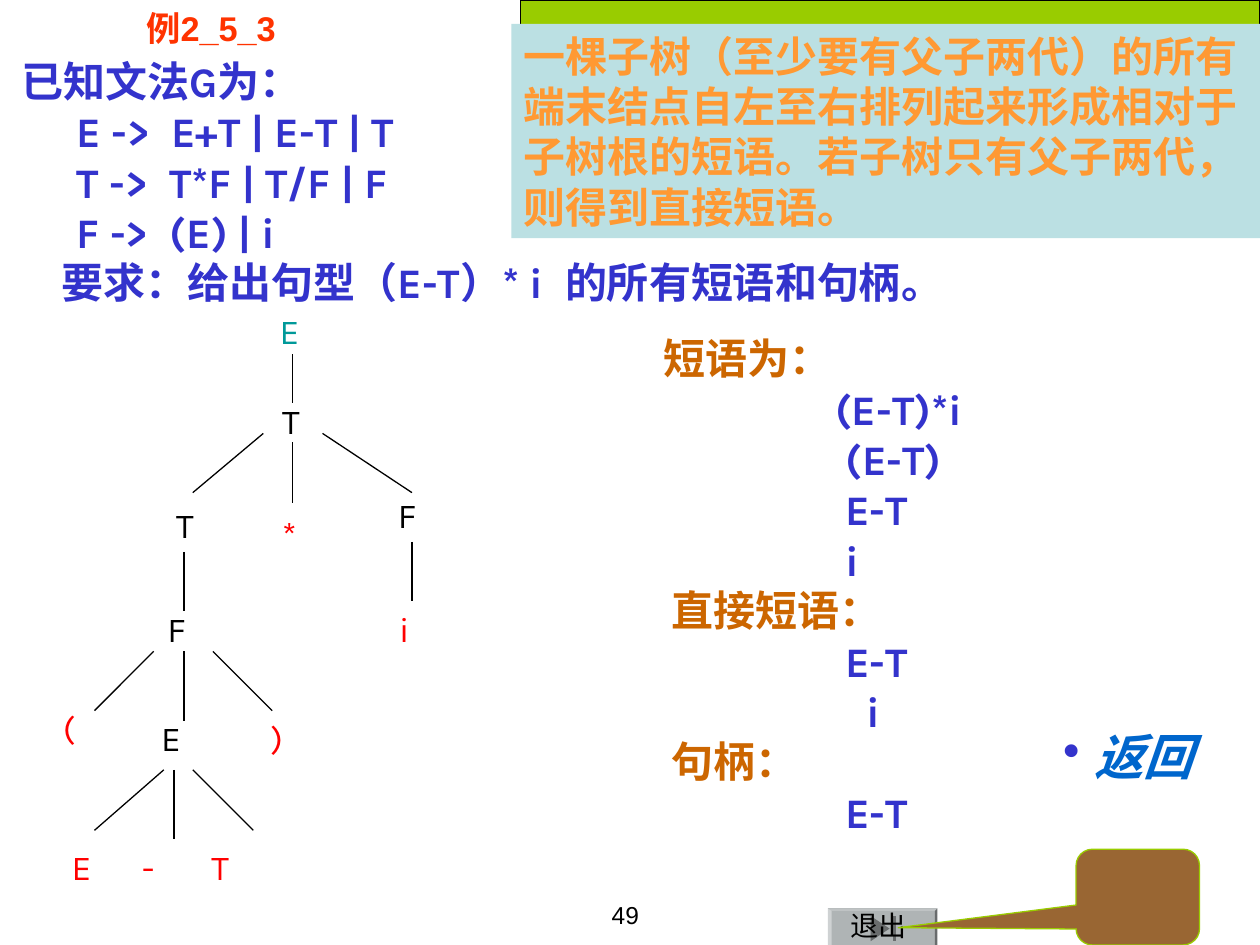
"""Build the slide on phrases and handles of a sentential form, with its syntax tree."""
import pptx
import pptx.dml.color
import pptx.enum.shapes
import pptx.enum.text
import pptx.oxml.ns
import pptx.util
from lxml import etree

Inches = pptx.util.Inches
Shapes = pptx.enum.shapes.MSO_SHAPE
Align = pptx.enum.text.PP_ALIGN


def color(value):
    """Turn a hex string into a colour."""
    return pptx.dml.color.RGBColor.from_string(value)


def write(shape, lines, size, font, bold=False, align=Align.LEFT):
    """Write (indent, text, colour) lines, one paragraph each."""
    frame = shape.text_frame
    frame.word_wrap = True
    frame.vertical_anchor = pptx.enum.text.MSO_ANCHOR.TOP
    for index, (indent, text, text_color) in enumerate(lines):
        paragraph = frame.add_paragraph() if index else frame.paragraphs[0]
        paragraph.alignment = align
        paragraph._p.get_or_add_pPr().set("marL", str(Inches(indent)))
        run = paragraph.add_run()
        run.text = text
        run.font.size = pptx.util.Pt(size)
        run.font.name = font
        run.font.bold = bold
        run.font.color.rgb = color(text_color)
    return frame


presentation = pptx.Presentation()
presentation.slide_width = Inches(10)
presentation.slide_height = Inches(7.5)
slide = presentation.slides.add_slide(presentation.slide_layouts[6])
shapes = slide.shapes

BLUE, BROWN, BLACK, RED = "3333CC", "CC6600", "000000", "FF0000"

button_parts = [
    ("AFB4B5", [(6.57, 7.21), (7.44, 7.21), (7.44, 7.5), (6.57, 7.5)]),
    ("BFC3C4", [(6.57, 7.21), (7.44, 7.21), (7.42, 7.23), (6.6, 7.23)]),
    ("696C6D", [(7.44, 7.21), (7.44, 7.5), (7.42, 7.5), (7.42, 7.23)]),
    ("CFD2D3", [(6.57, 7.5), (6.57, 7.21), (6.6, 7.23), (6.6, 7.5)]),
    ("696C6D", [(7.06, 7.37), (6.91, 7.47), (6.91, 7.27)]),
    ("696C6D", [(7.09, 7.27), (7.09, 7.47), (7.11, 7.47), (7.11, 7.27)]),
]
for fill, points in button_parts:
    corners = [(Inches(x), Inches(y)) for x, y in points]
    builder = shapes.build_freeform(*corners[0])
    builder.add_line_segments(corners[1:], close=True)
    part = builder.convert_to_shape()
    part.shadow.inherit = False
    part.fill.solid()
    part.fill.fore_color.rgb = color(fill)
    part.line.fill.background()

exit_label = shapes.add_textbox(Inches(6.65), Inches(7.16), Inches(0.71), Inches(0.34))
write(exit_label, [(0, "退出", BLACK)], 16, "DejaVu Sans")

blocks = {}
for name, kind, left, top, width, height, fill, outline in [
    ("callout", Shapes.ROUNDED_RECTANGULAR_CALLOUT, 8.54, 6.74, 0.98, 0.76, "996633", "99CC00"),
    ("band", Shapes.RECTANGLE, 4.13, 0, 5.87, 1.47, "99CC00", BLACK),
    ("definition", Shapes.RECTANGLE, 4.06, 0.19, 5.94, 1.7, "BBE0E3", None),
]:
    block = shapes.add_shape(kind, Inches(left), Inches(top), Inches(width), Inches(height))
    block.shadow.inherit = False
    block.fill.solid()
    block.fill.fore_color.rgb = color(fill)
    if outline:
        block.line.color.rgb = color(outline)
        block.line.width = pptx.util.Pt(0.75)
    else:
        block.line.fill.background()
    blocks[name] = block
for index, value in enumerate((-1.94, 0.32, 0.17)):
    blocks["callout"].adjustments[index] = value
write(blocks["definition"], [(0, "一棵子树（至少要有父子两代）的所有端末结点自左至右排列起来形成相对于子树根的短语。若子树只有父子两代，则得到直接短语。", "FF9933")], 24, "Karla", True)

page_number = shapes.add_textbox(Inches(4.29), Inches(7.09), Inches(0.88), Inches(0.41))
write(page_number, [(0, "49", BLACK)], 14, "Arial", align=Align.RIGHT)

grammar = shapes.add_textbox(Inches(0), Inches(0.39), Inches(10), Inches(2.1))
write(grammar, [
    (0.07, "已知文法G为：", BLUE),
    (0.51, "E ->  E+T | E-T | T", BLUE),
    (0.51, "T ->  T*F | T/F | F", BLUE),
    (0.51, "F ->  (E) | i", BLUE),
    (0.39, "要求：给出句型（E-T）* i  的所有短语和句柄。", BLUE),
], 24, "Karla", True)

branches = [
    (2.32, 2.81, 2.32, 3.2),
    (2.09, 3.44, 1.53, 3.91), (2.32, 3.51, 2.32, 3.99), (2.56, 3.44, 3.27, 3.91),
    (1.46, 4.38, 1.46, 4.85), (3.27, 4.3, 3.27, 4.77),
    (1.22, 5.17, 0.75, 5.64), (1.46, 5.17, 1.46, 5.72), (1.69, 5.17, 2.16, 5.64),
    (1.3, 6.11, 0.75, 6.59), (1.38, 6.11, 1.38, 6.66), (1.53, 6.11, 2.01, 6.59),
]
for branch in branches:
    connector = shapes.add_connector(
        pptx.enum.shapes.MSO_CONNECTOR.STRAIGHT, *[Inches(value) for value in branch])
    connector.line.color.rgb = color(BLACK)
    connector.line.width = pptx.util.Pt(0.75)
    etree.SubElement(connector._element.spPr, pptx.oxml.ns.qn("a:effectLst"))

nodes = [
    ("E", 1.85, 2.41, 1.02, 0.27, "009999"),
    ("T", 2.01, 3.12, 0.79, 0.13, BLACK),
    ("T", 1.23, 3.95, 0.42, 0.07, BLACK),
    ("*", 2.01, 4.02, 0.79, 0.13, RED),
    ("F", 2.8, 3.87, 0.95, 0.26, BLACK),
    ("F", 0.9, 4.77, 1.02, 0.33, BLACK),
    ("i", 2.87, 4.77, 1.1, 0.2, RED),
    ("(", 0, 5.56, 0.9, 0.4, RED),
    ("E", 0.98, 5.64, 0.63, 0.2, BLACK),
    (")", 1.85, 5.64, 0.94, 0.2, RED),
    ("E", 0.27, 6.66, 0.7, 0.2, RED),
    ("-", 0.97, 6.66, 0.5, 0.06, RED),
    ("T", 1.47, 6.66, 1.24, 0.11, RED),
]
for text, left, top, width, indent, text_color in nodes:
    node = shapes.add_textbox(Inches(left), Inches(top), Inches(width), Inches(0.44))
    write(node, [(indent, text, text_color)], 20, "Karla")

answers = shapes.add_textbox(Inches(4.92), Inches(2.25), Inches(4.57), Inches(4.44))
answers_frame = write(answers, [
    (0.25, "短语为：", BROWN),
    (1.61, "(E-T)*i", BLUE),
    (1.69, "(E-T)", BLUE),
    (1.69, "E-T", BLUE),
    (1.69, "i", BLUE),
    (0.31, "直接短语：", BROWN),
    (1.69, "E-T", BLUE),
    (1.86, "i", BLUE),
    (0.31, "句柄：", BROWN),
    (1.69, "E-T", BLUE),
], 24, "Karla", True)
answers_frame.margin_top = Inches(0.39)

title = shapes.add_textbox(Inches(0), Inches(0), Inches(3.35), Inches(0.44))
title_frame = write(title, [(0, "例2_5_3", "FF3300")], 19.6, "Arial", True, Align.CENTER)
title_frame.vertical_anchor = pptx.enum.text.MSO_ANCHOR.MIDDLE

back = shapes.add_textbox(Inches(8.34), Inches(5.72), Inches(1.3), Inches(0.79))
back_frame = write(back, [(0.25, "返回", "0066CC")], 28, "Noto Sans CJK JP", True)
back_paragraph = back_frame.paragraphs[0]
back_paragraph.runs[0].font.italic = True
properties = back_paragraph._p.get_or_add_pPr()
properties.set("indent", str(-Inches(0.25)))
bullet_color = etree.SubElement(properties, pptx.oxml.ns.qn("a:buClr"))
etree.SubElement(bullet_color, pptx.oxml.ns.qn("a:srgbClr"), val=BLUE)
etree.SubElement(properties, pptx.oxml.ns.qn("a:buChar"), char="•")

presentation.save("out.pptx")
